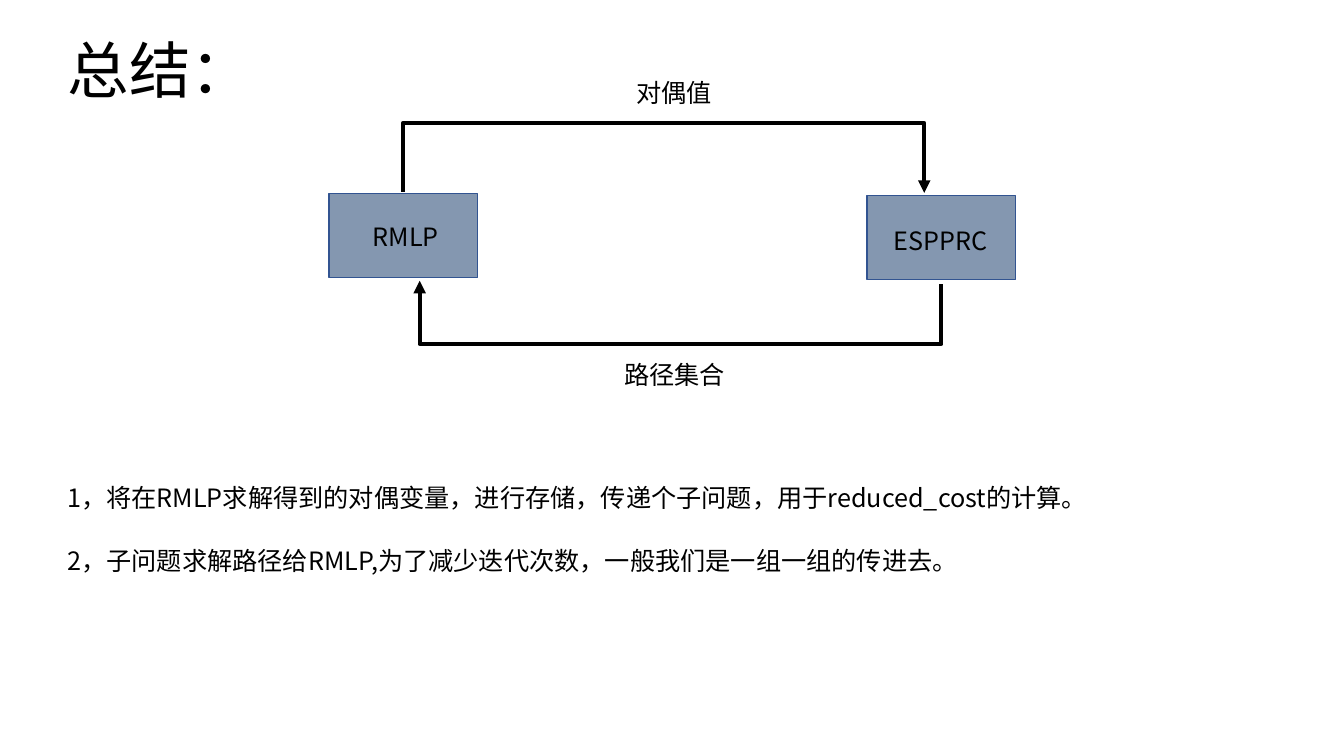
import pptx
import pptx.util
import pptx.dml.color
import pptx.enum.shapes
import pptx.enum.text
import pptx.oxml.ns
import lxml.etree

Pt = pptx.util.Pt
RGBColor = pptx.dml.color.RGBColor
Align = pptx.enum.text.PP_ALIGN
Anchor = pptx.enum.text.MSO_ANCHOR
qn = pptx.oxml.ns.qn

# Content, lengths in points
FONT = "Noto Sans CJK SC"
BLACK = RGBColor(0x00, 0x00, 0x00)
BOX_FILL = RGBColor(0x84, 0x97, 0xB0)
BOX_LINE = RGBColor(0x32, 0x54, 0x91)

TITLE = "总结："
BOX_SIZE = (106, 60)
# box left, box top, label, label left, label top
BOXES = [
    (235, 138.4, "RMLP", 259.2, 154.8),
    (619.4, 139.7, "ESPPRC", 631.4, 157.7),
]
# start, end, height of the level middle part
ARROWS = [
    ((288, 136.8), (660.2, 137.8), 87.4),
    ((672.4, 203.2), (299.8, 200.6), 245.7),
]
CAPTION_CENTER, CAPTION_WIDTH = 481.7, 120
CAPTIONS = [("对偶值", 51.8), ("路径集合", 253.1)]
NOTES_LEFT, NOTES_TOP, NOTES_STEP, NOTES_WIDTH = 41, 341.3, 45, 794
NOTES = [
    "1，将在RMLP求解得到的对偶变量，进行存储，传递个子问题，用于reduced_cost的计算。",
    "2，子问题求解路径给RMLP,为了减少迭代次数，一般我们是一组一组的传进去。",
]


def write(shape, text, size, align=Align.LEFT):
    frame = shape.text_frame
    frame.word_wrap = True
    para = frame.paragraphs[0]
    para.text = text
    para.alignment = align
    para.font.size = Pt(size)
    para.font.color.rgb = BLACK
    para.font.name = FONT
    # East Asian typeface follows the Latin one
    latin = para._p.pPr.find(qn("a:defRPr")).find(qn("a:latin"))
    east_asian = lxml.etree.Element(qn("a:ea"), typeface=FONT)
    latin.addnext(east_asian)
    return para


def add_label(page, text, left, top, width, align=Align.LEFT):
    box = page.shapes.add_textbox(Pt(left), Pt(top), Pt(width), Pt(29))
    write(box, text, 18, align)


def add_bent_arrow(page, start, end, level):
    (x1, y1), (x2, y2) = start, end
    center_x, center_y = (x1 + x2) / 2, (y1 + y2) / 2
    # The elbow is laid out upright, then turned by a quarter
    half_width, half_height = abs(y2 - y1) / 2, abs(x2 - x1) / 2
    arrow = page.shapes.add_connector(
        pptx.enum.shapes.MSO_CONNECTOR.ELBOW,
        Pt(center_x + half_width), Pt(center_y - half_height),
        Pt(center_x - half_width), Pt(center_y + half_height))
    arrow.line.color.rgb = BLACK
    arrow.line.width = Pt(3)
    properties = arrow._element.spPr
    quarter_turns = 3 if x2 > x1 else 1
    properties.find(qn("a:xfrm")).set("rot", str(quarter_turns * 5400000))
    bend = round((level - y1) / (y2 - y1) * 100000)
    adjustments = properties.find(qn("a:prstGeom")).find(qn("a:avLst"))
    lxml.etree.SubElement(adjustments, qn("a:gd"), name="adj1", fmla=f"val {bend}")
    lxml.etree.SubElement(properties.find(qn("a:ln")), qn("a:tailEnd"), type="triangle")
    lxml.etree.SubElement(properties, qn("a:effectLst"))


def main():
    deck = pptx.Presentation()
    deck.slide_width, deck.slide_height = Pt(960), Pt(540)
    page = deck.slides.add_slide(deck.slide_layouts[5])

    # Title
    title = page.shapes.title
    title.left, title.top, title.width, title.height = Pt(41), Pt(13.7), Pt(781), Pt(77)
    write(title, TITLE, 44).line_spacing = 0.9
    title.text_frame.vertical_anchor = Anchor.MIDDLE

    # Boxes and their labels
    for left, top, label, label_left, label_top in BOXES:
        box = page.shapes.add_shape(
            pptx.enum.shapes.MSO_SHAPE.RECTANGLE,
            Pt(left), Pt(top), Pt(BOX_SIZE[0]), Pt(BOX_SIZE[1]))
        box.shadow.inherit = False
        box.fill.solid()
        box.fill.fore_color.rgb = BOX_FILL
        box.line.color.rgb = BOX_LINE
        box.line.width = Pt(1)
        add_label(page, label, label_left, label_top, 81.4)

    # Loop between the boxes
    for start, end, level in ARROWS:
        add_bent_arrow(page, start, end, level)
    for caption, top in CAPTIONS:
        add_label(page, caption, CAPTION_CENTER - CAPTION_WIDTH / 2, top,
                  CAPTION_WIDTH, Align.CENTER)

    # Remarks
    for index, note in enumerate(NOTES):
        add_label(page, note, NOTES_LEFT, NOTES_TOP + index * NOTES_STEP, NOTES_WIDTH)

    deck.save("out.pptx")


if __name__ == "__main__":
    main()
